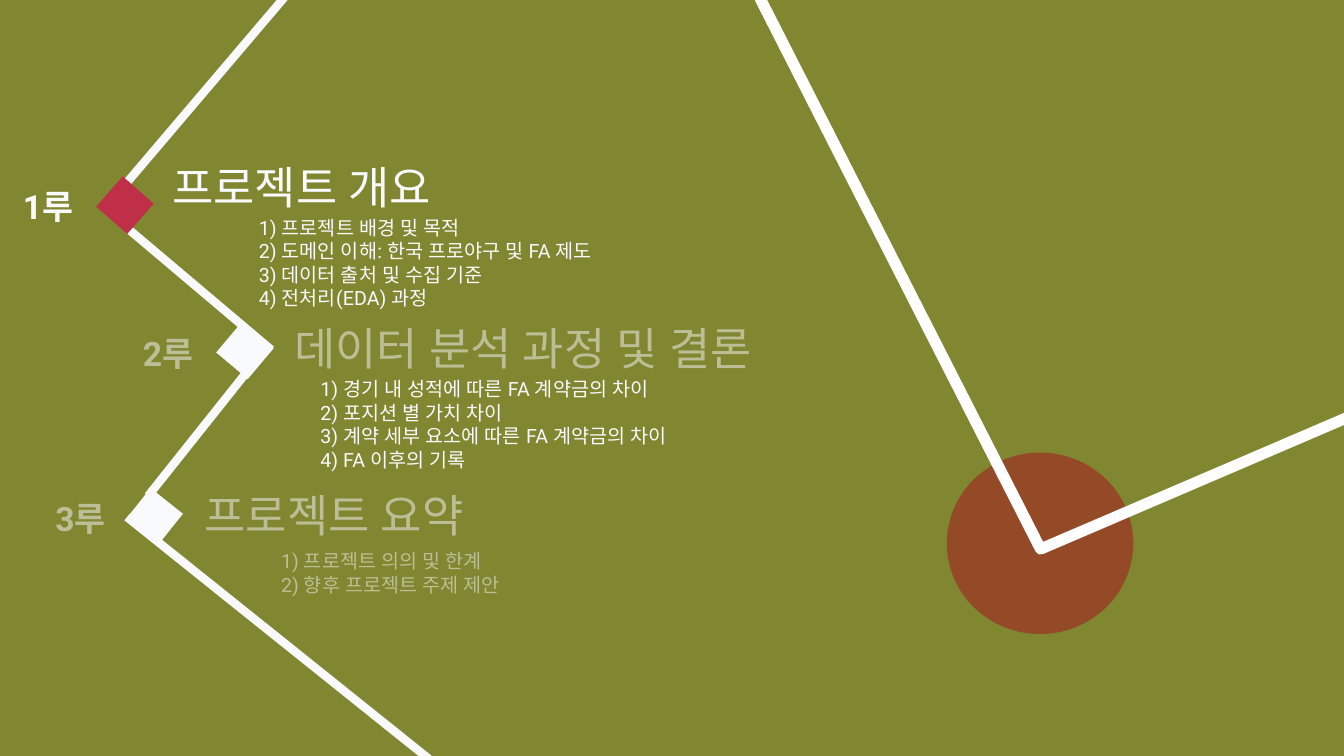
from dataclasses import dataclass

from lxml import etree
from pptx import Presentation
from pptx.dml.color import RGBColor
from pptx.enum.shapes import MSO_CONNECTOR, MSO_SHAPE
from pptx.oxml.ns import qn
from pptx.util import Inches, Pt

COLORS = {"grass": "818630", "clay": "944A27", "chalk": "F9FAFD",
          "foul_line": "FFFFFF", "current_base": "BF2F47"}
FONT = "Roboto"


@dataclass
class Base:
    label: str
    label_at: tuple[float, float]
    title: str
    title_at: tuple[float, float]
    topics: list[str]
    topics_at: tuple[float, float]
    bag_at: tuple[float, float]
    bag_angle: float
    bag_color: str = "chalk"
    dimmed_topics: bool = False


@dataclass
class BasePath:
    start: tuple[float, float]
    end: tuple[float, float]


BASES = [
    Base("1루", (0.13, 1.8), "프로젝트 개요", (1.61, 1.54),
         ["1) 프로젝트 배경 및 목적", "2) 도메인 이해: 한국 프로야구 및 FA 제도",
          "3) 데이터 출처 및 수집 기준", "4) 전처리(EDA) 과정"],
         (2.47, 2.09), (1.04, 1.83), 311.2, bag_color="current_base"),
    Base("2루", (1.32, 3.25), "데이터 분석 과정 및 결론", (2.82, 3.13),
         ["1) 경기 내 성적에 따른 FA 계약금의 차이", "2) 포지션 별 가치 차이",
          "3) 계약 세부 요소에 따른 FA 계약금의 차이", "4) FA 이후의 기록"],
         (3.08, 3.69), (2.23, 3.27), 310.1),
    Base("3루", (0.45, 4.89), "프로젝트 요약", (1.93, 4.79),
         ["1) 프로젝트 의의 및 한계", "2) 향후 프로젝트 주제 제안"],
         (2.69, 5.4), (1.33, 4.92), 308.6, dimmed_topics=True),
]
BASE_PATHS = [
    BasePath((2.9, -0.12), (1.2, 1.88)),
    BasePath((1.27, 2.27), (2.69, 3.47)),
    BasePath((2.48, 3.65), (1.47, 4.92)),
    BasePath((1.26, 5.13), (4.43, 7.67)),
]


def rgb(name: str) -> RGBColor:
    return RGBColor.from_string(COLORS[name])


def add_text(slide, lines: list[str], at: tuple[float, float], width: float,
             height: float, *, size: float, bold: bool = False) -> None:
    box = slide.shapes.add_textbox(*map(Inches, (*at, width, height)))
    frame = box.text_frame
    frame.word_wrap = True
    for index, line in enumerate(lines):
        paragraph = frame.paragraphs[0] if index == 0 else frame.add_paragraph()
        run = paragraph.add_run()
        run.text = line
        run.font.name = FONT
        run.font.size = Pt(size)
        run.font.bold = bold
        run.font.color.rgb = rgb("chalk")
        east_asian = etree.SubElement(run.font._element, qn("a:ea"))
        east_asian.set("typeface", FONT)


def add_area(slide, kind: MSO_SHAPE, at: tuple[float, float], width: float,
             height: float, *, fill: str | None = None, line: str | None = None,
             line_width: float = 0, angle: float = 0, opacity: int = 100) -> None:
    area = slide.shapes.add_shape(kind, *map(Inches, (*at, width, height)))
    area.shadow.inherit = False
    area.rotation = angle
    if fill:
        area.fill.solid()
        area.fill.fore_color.rgb = rgb(fill)
        if opacity < 100:
            color = area.fill._xPr.find(qn("a:solidFill"))[0]
            etree.SubElement(color, qn("a:alpha")).set("val", str(opacity * 1000))
    else:
        area.fill.background()
    if line:
        area.line.color.rgb = rgb(line)
        area.line.width = Pt(line_width)
    else:
        area.line.fill.background()


def add_base_path(slide, base_path: BasePath) -> None:
    chalk_line = slide.shapes.add_connector(
        MSO_CONNECTOR.STRAIGHT, *map(Inches, (*base_path.start, *base_path.end)))
    chalk_line.line.color.rgb = rgb("chalk")
    chalk_line.line.width = Pt(6)
    etree.SubElement(chalk_line._element.spPr, qn("a:effectLst"))


def add_topics(slide, base: Base) -> None:
    height = 0.1 + 0.235 * len(base.topics)
    add_text(slide, base.topics, base.topics_at, 7.41, height, size=14)


def main() -> None:
    deck = Presentation()
    deck.slide_width, deck.slide_height = Inches(13.33), Inches(7.5)
    slide = deck.slides.add_slide(deck.slide_layouts[6])
    slide.background.fill.solid()
    slide.background.fill.fore_color.rgb = rgb("grass")

    add_area(slide, MSO_SHAPE.OVAL, (9.39, 4.49), 1.85, 1.8, fill="clay")
    add_area(slide, MSO_SHAPE.DIAMOND, (6.59, -5.91), 11.31, 12.08,
             line="foul_line", line_width=8, angle=109.9)

    for base in BASES:
        add_text(slide, [base.label], base.label_at, 1.24, 0.5, size=24, bold=True)
        add_text(slide, [base.title], base.title_at, 5.63, 0.64, size=32)
        if base.dimmed_topics:
            add_topics(slide, base)

    # The veil fades the sections still to come.
    add_area(slide, MSO_SHAPE.RECTANGLE, (0.2, 2.99), 7.7, 4.09,
             fill="grass", opacity=50)

    for base_path in BASE_PATHS:
        add_base_path(slide, base_path)
    for base in BASES:
        add_area(slide, MSO_SHAPE.RECTANGLE, base.bag_at, 0.4, 0.41,
                 fill=base.bag_color, angle=base.bag_angle)
        if not base.dimmed_topics:
            add_topics(slide, base)

    deck.save("out.pptx")


if __name__ == "__main__":
    main()
